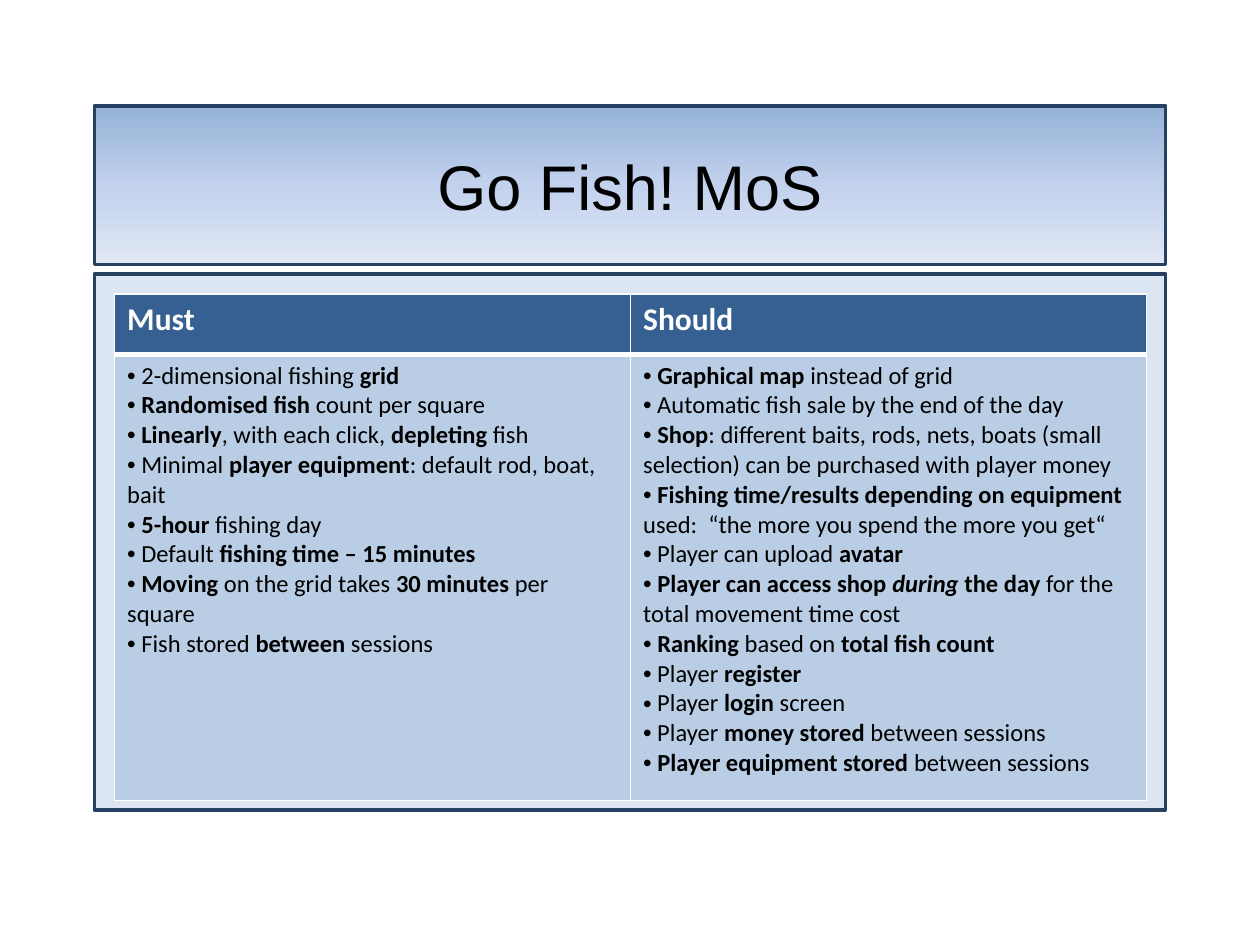
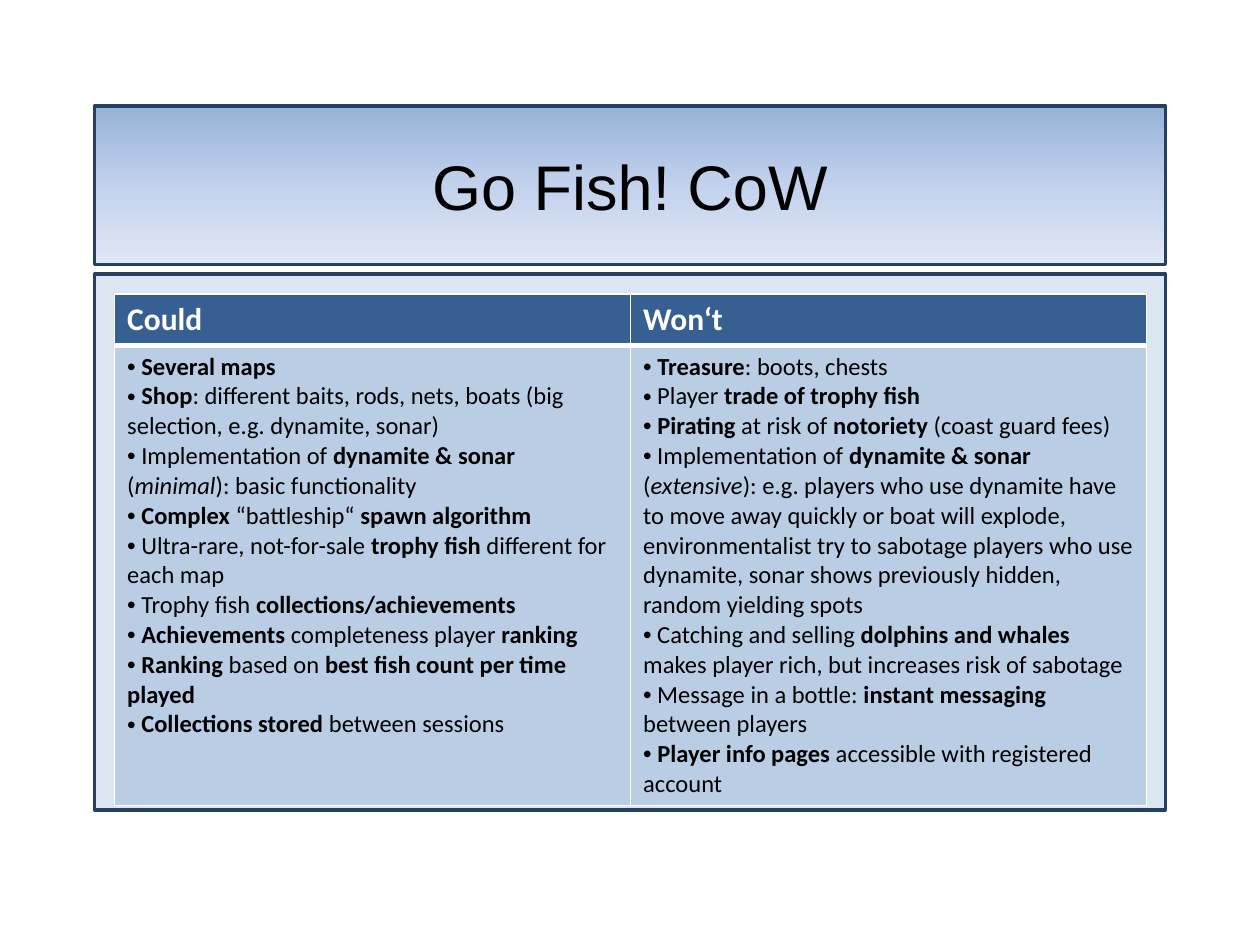
from copy import deepcopy
from lxml.etree import SubElement
from pptx import Presentation
from pptx.dml.color import RGBColor as Rgb
from pptx.enum.shapes import MSO_SHAPE as Shape
from pptx.enum.text import MSO_ANCHOR as Anchor, PP_ALIGN as Align
from pptx.oxml import parse_xml
from pptx.oxml.ns import nsdecls, qn
from pptx.util import Inches, Pt

COLORS = {
    "frame": "254061", "panel": "DCE6F2", "header": "376092", "body": "B9CDE5",
    "white": "FFFFFF", "black": "000000",
    "fade_top": "95B3D7", "fade_middle": "C2D1ED", "fade_bottom": "E1E8F5",
}
COLORS = {name: Rgb.from_string(value) for name, value in COLORS.items()}

PAGES = [
    {
        "title": "Go Fish! MoS",
        "rows": (0.48, 3.54),
        "columns": {
            "Must": [
                "2-dimensional fishing *grid*",
                "*Randomised fish* count per square",
                "*Linearly*, with each click, *depleting* fish",
                "Minimal *player equipment*: default rod, boat, bait",
                "*5-hour* fishing day",
                "Default *fishing time – 15 minutes*",
                "*Moving* on the grid takes *30 minutes* per square",
                "Fish stored *between* sessions",
            ],
            "Should": [
                "*Graphical map* instead of grid",
                "Automatic fish sale by the end of the day",
                "*Shop*: different baits, rods, nets, boats (small selection) "
                "can be purchased with player money",
                "*Fishing time/results depending on equipment* used:  "
                "“the more you spend the more you get“",
                "Player can upload *avatar*",
                "*Player can access shop _during_ the day* for the total movement time cost",
                "*Ranking* based on *total fish count*",
                "Player *register*",
                "Player *login* screen",
                "Player *money stored* between sessions",
                "*Player equipment stored* between sessions",
            ],
        },
    },
    {
        "title": "Go Fish! CoW",
        "rows": (0.41, 3.6),
        "columns": {
            "Could": [
                "*Several maps*",
                "*Shop*: different baits, rods, nets, boats (big selection, e.g. dynamite, sonar)",
                "Implementation of *dynamite & sonar* (_minimal_): basic functionality",
                "*Complex* “battleship“ *spawn algorithm*",
                "Ultra-rare, not-for-sale *trophy fish* different for each map",
                "Trophy fish *collections/achievements*",
                "*Achievements* completeness player *ranking*",
                "*Ranking* based on *best fish count per time played*",
                "*Collections stored* between sessions",
            ],
            "Won‘t": [
                "*Treasure*: boots, chests",
                "Player *trade of trophy fish*",
                "*Pirating* at risk of *notoriety* (coast guard fees)",
                "Implementation of *dynamite & sonar* (_extensive_): e.g. players who use "
                "dynamite have to move away quickly or boat will explode, environmentalist "
                "try to sabotage players who use dynamite, sonar shows previously hidden, "
                "random yielding spots",
                "Catching and selling *dolphins and whales* makes player rich, "
                "but increases risk of sabotage",
                "Message in a bottle: *instant messaging* between players",
                "*Player info pages* accessible with registered account",
            ],
        },
    },
]


def style_cell(cell, fill, top, bottom):
    cell.fill.solid()
    cell.fill.fore_color.rgb = COLORS[fill]
    edges = {"lnL": 1, "lnR": 1, "lnT": top, "lnB": bottom}
    for index, (edge, points) in enumerate(edges.items()):
        cell._tc.tcPr.insert(index, parse_xml(
            f'<a:{edge} {nsdecls("a")} w="{Pt(points)}"><a:solidFill>'
            f'<a:srgbClr val="{COLORS["white"]}"/></a:solidFill></a:{edge}>'))


def write_bullet(para, text):
    para.font.name = "Calibri"
    para.font.size = Pt(14)
    para.font.color.rgb = COLORS["black"]
    properties = para._p.get_or_add_pPr()
    bullet_font = SubElement(properties, qn("a:buFont"), typeface="Arial")
    bullet_font.addnext(properties.makeelement(qn("a:buChar"), {"char": "•"}))
    properties.append(properties.find(qn("a:defRPr")))
    for number, part in enumerate((" " + text).split("*")):
        for order, words in enumerate(part.split("_")):
            if words:
                span = para.add_run()
                span.text = words
                span.font.name = "Calibri"
                span.font.size = Pt(14)
                span.font.color.rgb = COLORS["black"]
                span.font.bold = number % 2 == 1
                span.font.italic = order % 2 == 1


deck = Presentation()
deck.slide_width, deck.slide_height = Inches(10), Inches(7.5)
width, height = deck.slide_width, deck.slide_height
frame_left, frame_width = int(width * 0.075), int(width * 0.85)
table_left, table_width = int(width * 0.091), int(width * 0.819)

for content in PAGES:
    page = deck.slides.add_slide(deck.slide_layouts[5])
    title = page.shapes.title
    title.left, title.width = frame_left, frame_width
    title.top, title.height = int(height * 0.112), int(height * 0.168)
    title.fill.gradient()
    title.fill.gradient_angle = 270
    stop_list = title._element.spPr.find(".//" + qn("a:gsLst"))
    stop_list.insert(1, deepcopy(stop_list[0]))
    fades = ("fade_top", "fade_middle", "fade_bottom")
    for index, (stop, fade) in enumerate(zip(title.fill.gradient_stops, fades)):
        stop.position = index / 2
        stop.color.rgb = COLORS[fade]
    title.text_frame.text = content["title"]
    title.text_frame.vertical_anchor = Anchor.MIDDLE
    para = title.text_frame.paragraphs[0]
    para.alignment = Align.CENTER
    para.font.name = "Arial"
    para.font.size = Pt(36)
    para.font.color.rgb = COLORS["black"]

    panel = page.shapes.add_shape(
        Shape.RECTANGLE, frame_left, int(height * 0.29), frame_width, int(height * 0.567))
    panel.shadow.inherit = False
    panel.fill.solid()
    panel.fill.fore_color.rgb = COLORS["panel"]
    for box in (title, panel):
        box.line.color.rgb = COLORS["frame"]
        box.line.width = Pt(2)

    row_heights = [Inches(value) for value in content["rows"]]
    table = page.shapes.add_table(
        2, 2, table_left, int(height * 0.311), table_width, sum(row_heights)).table
    for row, row_height in zip(table.rows, row_heights):
        row.height = row_height
    for column, (heading, items) in enumerate(content["columns"].items()):
        header, body = table.cell(0, column), table.cell(1, column)
        style_cell(header, "header", 1, 3)
        style_cell(body, "body", 3, 1)
        header.text = heading
        para = header.text_frame.paragraphs[0]
        para.font.name = "Calibri"
        para.font.size = Pt(18)
        para.font.bold = True
        para.font.color.rgb = COLORS["white"]
        frame = body.text_frame
        for index, item in enumerate(items):
            para = frame.add_paragraph() if index else frame.paragraphs[0]
            write_bullet(para, item)

deck.save("out.pptx")
